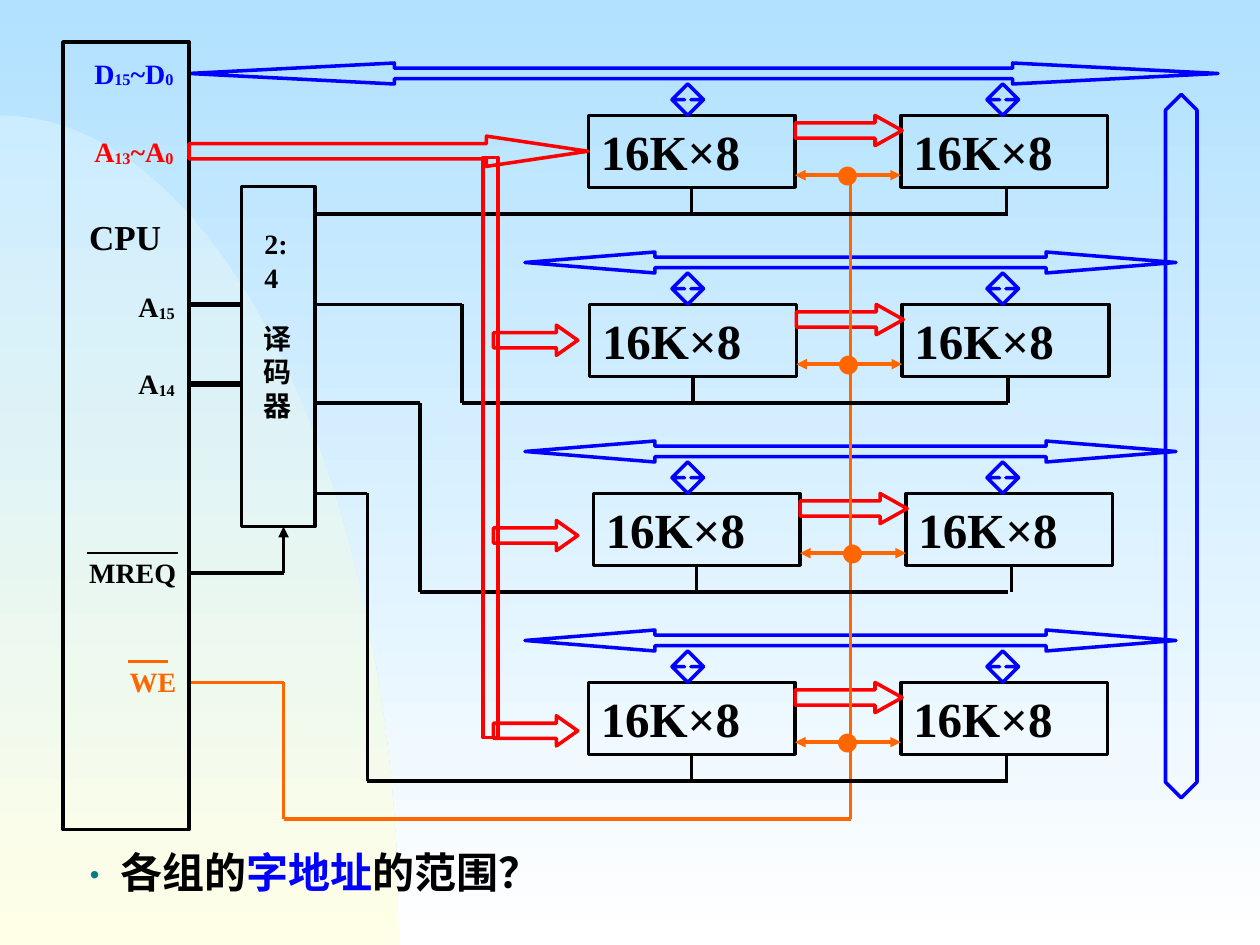
"""Build a slide showing a CPU wired to four rows of 16K×8 memory chips."""
import itertools
import lxml.etree
import pptx
import pptx.dml.color
import pptx.enum.shapes
import pptx.enum.text
import pptx.oxml.ns
import pptx.util

Pt = pptx.util.Pt
RGBColor = pptx.dml.color.RGBColor
MSO_SHAPE = pptx.enum.shapes.MSO_SHAPE
PP_ALIGN = pptx.enum.text.PP_ALIGN
qn = pptx.oxml.ns.qn

BLACK = RGBColor(0x00, 0x00, 0x00)
BLUE = RGBColor(0x00, 0x00, 0xFF)
RED = RGBColor(0xFF, 0x00, 0x00)
ORANGE = RGBColor(0xFF, 0x66, 0x00)
TEAL = RGBColor(0x00, 0x80, 0x80)
SKY = RGBColor(0xB1, 0xE1, 0xFF)
WHITE = RGBColor(0xFF, 0xFF, 0xFF)
PALE_BLUE = RGBColor(0xCC, 0xEC, 0xFF)
CREAM = RGBColor(0xFF, 0xFF, 0xE7)
SERIF = "Times New Roman"
CJK = "Noto Sans CJK SC"
ROW_PITCH = 108


def add_outline(kind, x, y, w, h, color, head=None):
    sp = s.shapes.add_shape(kind, Pt(x), Pt(y), Pt(w), Pt(h))
    sp.shadow.inherit = False
    sp.fill.background()
    sp.line.color.rgb = color
    sp.line.width = Pt(2)
    if head:
        sp.adjustments[0] = 0.5
        sp.adjustments[1] = head
    return sp


def add_wire(points, color, width=2, ends=()):
    for (x1, y1), (x2, y2) in itertools.pairwise(points):
        c = s.shapes.add_connector(
            pptx.enum.shapes.MSO_CONNECTOR.STRAIGHT, Pt(x1), Pt(y1), Pt(x2), Pt(y2))
        c.line.color.rgb = color
        c.line.width = Pt(width)
        lxml.etree.SubElement(c._element.spPr, qn("a:effectLst"))
    for end in ends:
        lxml.etree.SubElement(c.line._get_or_add_ln(), qn(f"a:{end}"), type="triangle")


prs = pptx.Presentation()
prs.slide_width, prs.slide_height = Pt(720), Pt(540)
s = prs.slides.add_slide(prs.slide_layouts[6])

curve = []
for step in range(1, 41):
    t = step / 40
    a, b, c, d = (1 - t) ** 3, 3 * t * (1 - t) ** 2, 3 * t ** 2 * (1 - t), t ** 3
    curve.append((Pt(126 * b + 228 * (c + d)), Pt(66 * (a + b) + 278.6 * c + 540 * d)))
builder = s.shapes.build_freeform(0, Pt(66))
builder.add_line_segments(curve + [(0, Pt(540))])
sp = builder.convert_to_shape()
sp.shadow.inherit = False
sp.line.fill.background()

for fill, colors in ((s.background.fill, (SKY, WHITE)), (sp.fill, (PALE_BLUE, CREAM))):
    fill.gradient()
    fill.gradient_angle = 270
    for stop, color in zip(fill.gradient_stops, colors):
        stop.color.rgb = color

labels = []
for row, dx in enumerate((0, 0.72, 2.88, 0)):
    dy = row * ROW_PITCH
    for x in (336.24, 514.8):
        sp = add_outline(MSO_SHAPE.RECTANGLE, x + dx, 66.1 + dy, 118.2, 41, BLACK)
        tf = sp.text_frame
        tf.word_wrap = True
        tf.vertical_anchor = pptx.enum.text.MSO_ANCHOR.TOP
        p = tf.paragraphs[0]
        p.text = "16K×8"
        p.alignment = PP_ALIGN.LEFT
        p.font.name = SERIF
        p.font.size = Pt(28)
        p.font.bold = True
        p.font.color.rgb = BLACK
    add_outline(MSO_SHAPE.RIGHT_ARROW, 454.3 + dx, 66 + dy, 61.2, 17.3, RED, 0.896)
    add_wire([(454.3 + dx, 100.1 + dy), (514.8 + dx, 100.1 + dy)], ORANGE,
             ends=("headEnd", "tailEnd"))
    for x in (395.2, 575.2):
        add_wire([(x + dx, 106.8 + dy), (x + dx, 122.4 + dy)], BLACK)
    labels.append((471.6 + dx, 90 + dy, 24.5, 21.6, "●", 12, ORANGE, CJK, False))

    bus_x, bus_w, bus_head = (300, 372, 6.191) if row else (108, 588, 9.785)
    add_outline(MSO_SHAPE.LEFT_RIGHT_ARROW, bus_x, 36 + dy, bus_w, 12, BLUE, bus_head)
    for x in (384, 564):
        add_outline(MSO_SHAPE.UP_DOWN_ARROW, x, 48 + dy, 18, 18, BLUE, 0.199)

add_outline(MSO_SHAPE.UP_DOWN_ARROW, 666, 54, 18, 402, BLUE, 4.445)

add_wire([(486, 100.1), (486, 468), (162, 468), (162, 390), (108, 390)], ORANGE)
add_wire([(576, 122.4), (180, 122.4)], BLACK)
for row, (x, y) in enumerate(((264, 174), (240, 230.4), (210, 282)), 1):
    select_y = 122.4 + row * ROW_PITCH
    add_wire([(576, select_y), (x, select_y), (x, y), (180, y)], BLACK)

add_outline(MSO_SHAPE.RECTANGLE, 36, 24, 72, 450, BLACK)
add_outline(MSO_SHAPE.RIGHT_ARROW, 108, 77.8, 228, 17.3, RED, 3.357)
for branch in range(3):
    add_outline(MSO_SHAPE.RIGHT_ARROW, 282, 185.8 + 111.6 * branch, 48.2, 17.3, RED, 0.707)
add_outline(MSO_SHAPE.RECTANGLE, 276, 90, 8.64, 331.4, RED)
add_outline(MSO_SHAPE.RECTANGLE, 138, 106.6, 42, 194.4, BLACK)
add_wire([(108, 327.3), (162, 327.3), (162, 301)], BLACK, ends=("tailEnd",))
add_wire([(73, 378), (96, 378)], ORANGE, 1.5)
add_wire([(49.7, 316), (102, 316)], BLACK, 1.5)
for y in (174, 219.4):
    add_wire([(108, y), (138, y)], BLACK, 3)

labels += [
    (46.8, 28.8, 59.8, 26.6, "D_15_~D_0", 16, BLUE, SERIF, True),
    (46.8, 73.6, 59.8, 26.6, "A_13_~A_0", 16, RED, SERIF, True),
    (43.9, 314, 64.1, 26.6, "MREQ", 16, BLACK, SERIF, True),
    (67, 376.4, 41, 26.6, "WE", 16, ORANGE, SERIF, True),
    (72, 162, 35.3, 26.6, "A_15", 16, BLACK, SERIF, True),
    (72, 206.2, 35.3, 26.6, "A_14", 16, BLACK, SERIF, True),
    (144, 126, 35.3, 26.6, "2:4", 16, BLACK, SERIF, True),
    (143.3, 180, 30.2, 84.2, "译\n码\n器", 16, BLACK, CJK, True),
    (43.9, 119.5, 55.4, 31.7, "CPU", 20, BLACK, SERIF, True),
]
for x, y, w, h, text, size, color, font, bold in labels:
    tf = s.shapes.add_textbox(Pt(x), Pt(y), Pt(w), Pt(h)).text_frame
    tf.word_wrap = False
    for i, line in enumerate(text.split("\n")):
        p = tf.add_paragraph() if i else tf.paragraphs[0]
        p.font.name = font
        p.font.size = Pt(size)
        p.font.bold = bold
        p.font.color.rgb = color
        for j, part in enumerate(line.split("_")):
            r = p.add_run()
            r.text = part
            if j % 2:
                r._r.get_or_add_rPr().set("baseline", "-5000")
            if font == CJK:
                lxml.etree.SubElement(r._r.get_or_add_rPr(), qn("a:ea"), typeface=CJK)

tf = s.shapes.add_textbox(Pt(37.4), Pt(480.2), Pt(267.8), Pt(36)).text_frame
tf.word_wrap = True
p = tf.paragraphs[0]
for text, size, color, font, bold in (
        ("• ", 20, TEAL, "Arial", False), ("各组的", 24, BLACK, CJK, True),
        ("字地址", 24, BLUE, CJK, True), ("的范围？", 24, BLACK, CJK, True)):
    r = p.add_run()
    r.text = text
    r.font.size = Pt(size)
    r.font.bold = bold
    r.font.color.rgb = color
    r.font.name = font
    lxml.etree.SubElement(r._r.get_or_add_rPr(), qn("a:ea"), typeface=CJK)

prs.save("out.pptx")
